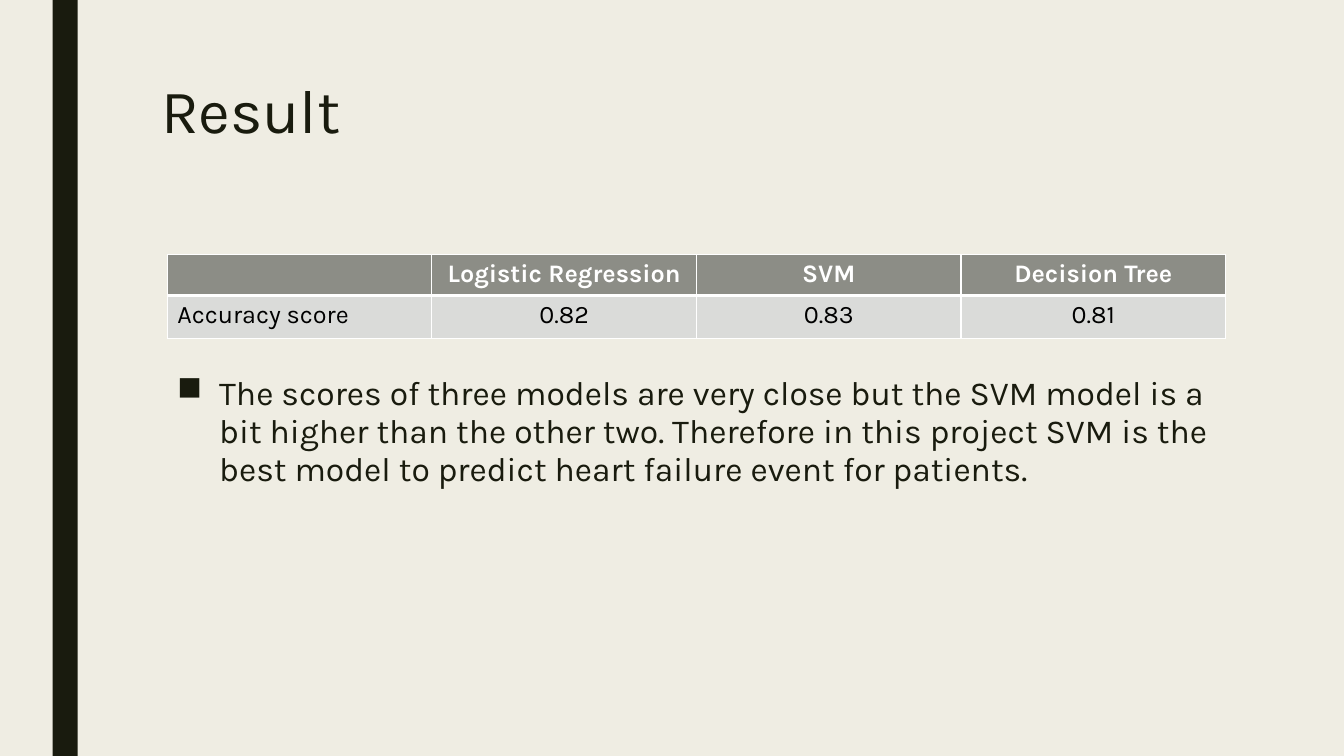
"""Build the Result slide: a table of accuracy scores and a conclusion."""
from dataclasses import dataclass

import pptx
import pptx.dml.color
import pptx.enum.shapes
import pptx.enum.text
import pptx.oxml
import pptx.oxml.ns
import pptx.util

Pt = pptx.util.Pt
RGBColor = pptx.dml.color.RGBColor

FONT = "Karla"
CREAM = RGBColor(0xEF, 0xED, 0xE3)
INK = RGBColor(0x19, 0x1B, 0x0E)
GREY = RGBColor(0x8C, 0x8D, 0x86)
PALE = RGBColor(0xDA, 0xDB, 0xD9)
WHITE = RGBColor(0xFF, 0xFF, 0xFF)
BLACK = RGBColor(0x00, 0x00, 0x00)

PAGE_WIDTH, PAGE_HEIGHT = 960, 540
CONTENT_LEFT, CONTENT_WIDTH = 119.5, 756
HANGING_INDENT = 30


@dataclass
class TextBlock:
    """A box of text with its place in points."""
    text: str
    left: float
    top: float
    width: float
    height: float
    size: float
    line_spacing: float
    top_margin: float = 3.6
    bullet: str = ""


@dataclass
class ScoreRow:
    """A table row with its look and its line widths in points."""
    texts: list[str]
    height: float
    fill: RGBColor
    color: RGBColor
    bold: bool
    top_line: float
    bottom_line: float


TITLE = TextBlock("Result", 108, 54, 756, 116.6, 44, 0.89)
CONCLUSION = TextBlock(
    "The scores of three models are very close but the SVM model is a bit "
    "higher than the other two. Therefore in this project SVM is the best "
    "model to predict heart failure event for patients.",
    CONTENT_LEFT, 231, CONTENT_WIDTH, 282, 24, 0.94,
    top_margin=37, bullet="■")
SCORES = [
    ScoreRow(["", "Logistic Regression", "SVM", "Decision Tree"],
             29.5, GREY, WHITE, True, 1, 3),
    ScoreRow(["Accuracy score", "0.82", "0.83", "0.81"],
             31, PALE, BLACK, False, 3, 1),
]


def style_paragraph(para, size: float, color: RGBColor, bold: bool = False) -> None:
    """Format every run of a paragraph."""
    for span in para.runs:
        span.font.name = FONT
        span.font.size = Pt(size)
        span.font.bold = bold
        span.font.color.rgb = color


def add_bullet(para, mark: str) -> None:
    """Give a paragraph a hanging bullet."""
    properties = para._p.get_or_add_pPr()
    properties.set("marL", str(Pt(HANGING_INDENT)))
    properties.set("indent", str(-Pt(HANGING_INDENT)))
    bullet = pptx.oxml.parse_xml(
        f'<a:buChar {pptx.oxml.ns.nsdecls("a")} char="{mark}"/>')
    properties.append(bullet)


def add_text(page, block: TextBlock) -> None:
    """Draw one block of text."""
    box = page.shapes.add_textbox(
        Pt(block.left), Pt(block.top), Pt(block.width), Pt(block.height))
    frame = box.text_frame
    frame.word_wrap = True
    frame.margin_top = Pt(block.top_margin)
    frame.text = block.text
    para = frame.paragraphs[0]
    para.line_spacing = block.line_spacing
    if block.bullet:
        add_bullet(para, block.bullet)
    style_paragraph(para, block.size, INK)


def add_border(cell, side: str, width: float) -> None:
    """Draw a white line on one side (L, R, T or B) of a cell."""
    line = pptx.oxml.parse_xml(
        f'<a:ln{side} {pptx.oxml.ns.nsdecls("a")} w="{Pt(width)}">'
        f'<a:solidFill><a:srgbClr val="{WHITE}"/></a:solidFill></a:ln{side}>')
    cell._tc.get_or_add_tcPr().append(line)


def fill_cell(cell, text: str, row: ScoreRow, centred: bool) -> None:
    """Write and format one table cell."""
    for side, width in (("L", 1), ("R", 1),
                        ("T", row.top_line), ("B", row.bottom_line)):
        add_border(cell, side, width)
    cell.fill.solid()
    cell.fill.fore_color.rgb = row.fill
    cell.text = text
    para = cell.text_frame.paragraphs[0]
    if centred:
        para.alignment = pptx.enum.text.PP_ALIGN.CENTER
    style_paragraph(para, 18, row.color, row.bold)


def add_scores(page, rows: list[ScoreRow], top: float) -> None:
    """Draw the score table with equal columns."""
    height = sum(row.height for row in rows)
    table = page.shapes.add_table(
        len(rows), len(rows[0].texts), Pt(CONTENT_LEFT), Pt(top),
        Pt(CONTENT_WIDTH), Pt(height)).table
    table.horz_banding = False
    for row_index, row in enumerate(rows):
        table.rows[row_index].height = Pt(row.height)
        for column_index, text in enumerate(row.texts):
            fill_cell(table.cell(row_index, column_index), text, row,
                      centred=column_index > 0)


def add_side_bar(page) -> None:
    """Draw the dark bar along the left edge."""
    bar = page.shapes.add_shape(
        pptx.enum.shapes.MSO_SHAPE.RECTANGLE,
        Pt(37.5), Pt(0), Pt(18), Pt(PAGE_HEIGHT))
    bar.shadow.inherit = False
    bar.fill.solid()
    bar.fill.fore_color.rgb = INK
    bar.line.fill.background()


def main() -> None:
    """Build and save the deck."""
    deck = pptx.Presentation()
    deck.slide_width, deck.slide_height = Pt(PAGE_WIDTH), Pt(PAGE_HEIGHT)
    page = deck.slides.add_slide(deck.slide_layouts[6])
    page.background.fill.solid()
    page.background.fill.fore_color.rgb = CREAM
    add_side_bar(page)
    add_text(page, TITLE)
    add_scores(page, SCORES, top=181.5)
    add_text(page, CONCLUSION)
    deck.save("out.pptx")


main()
